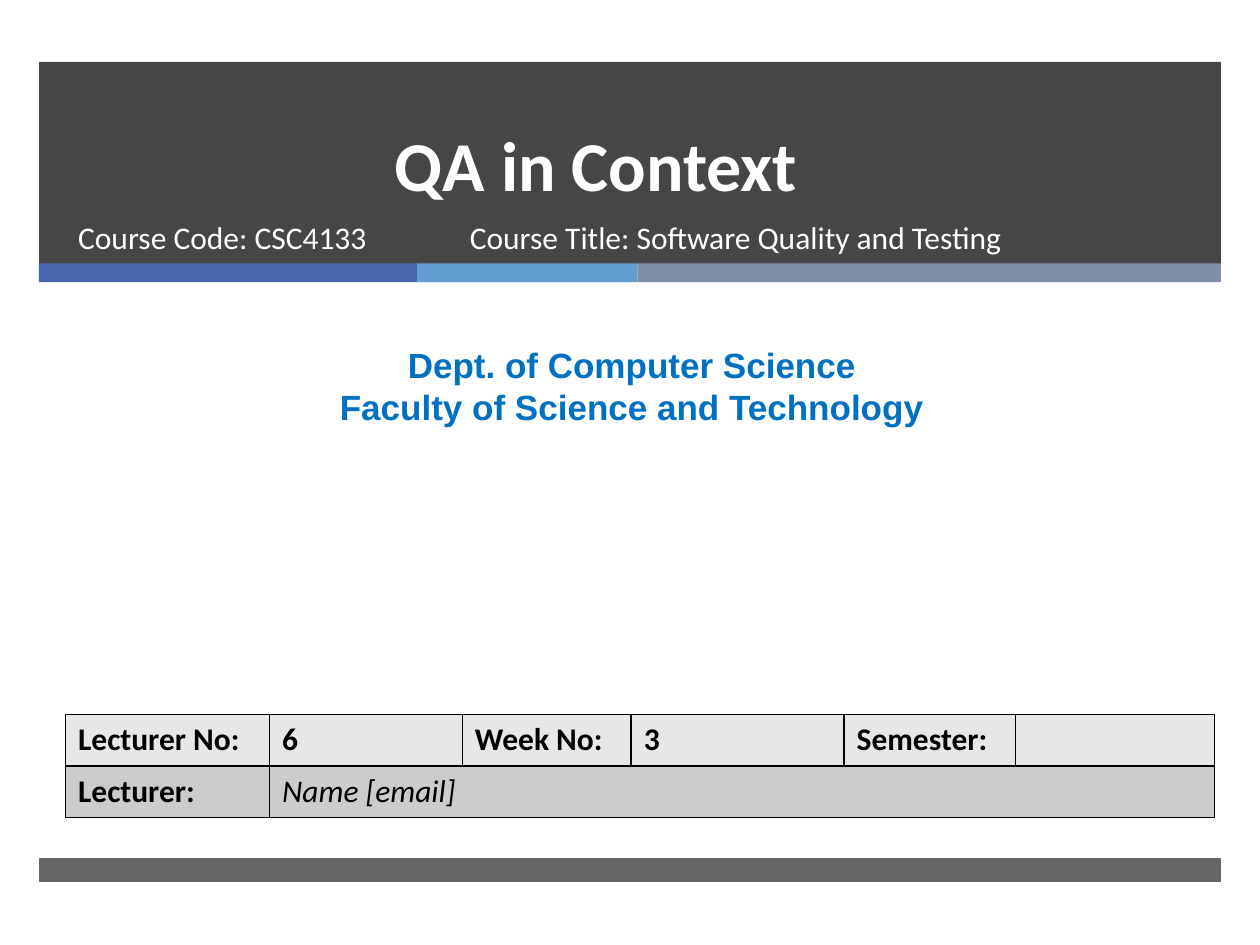
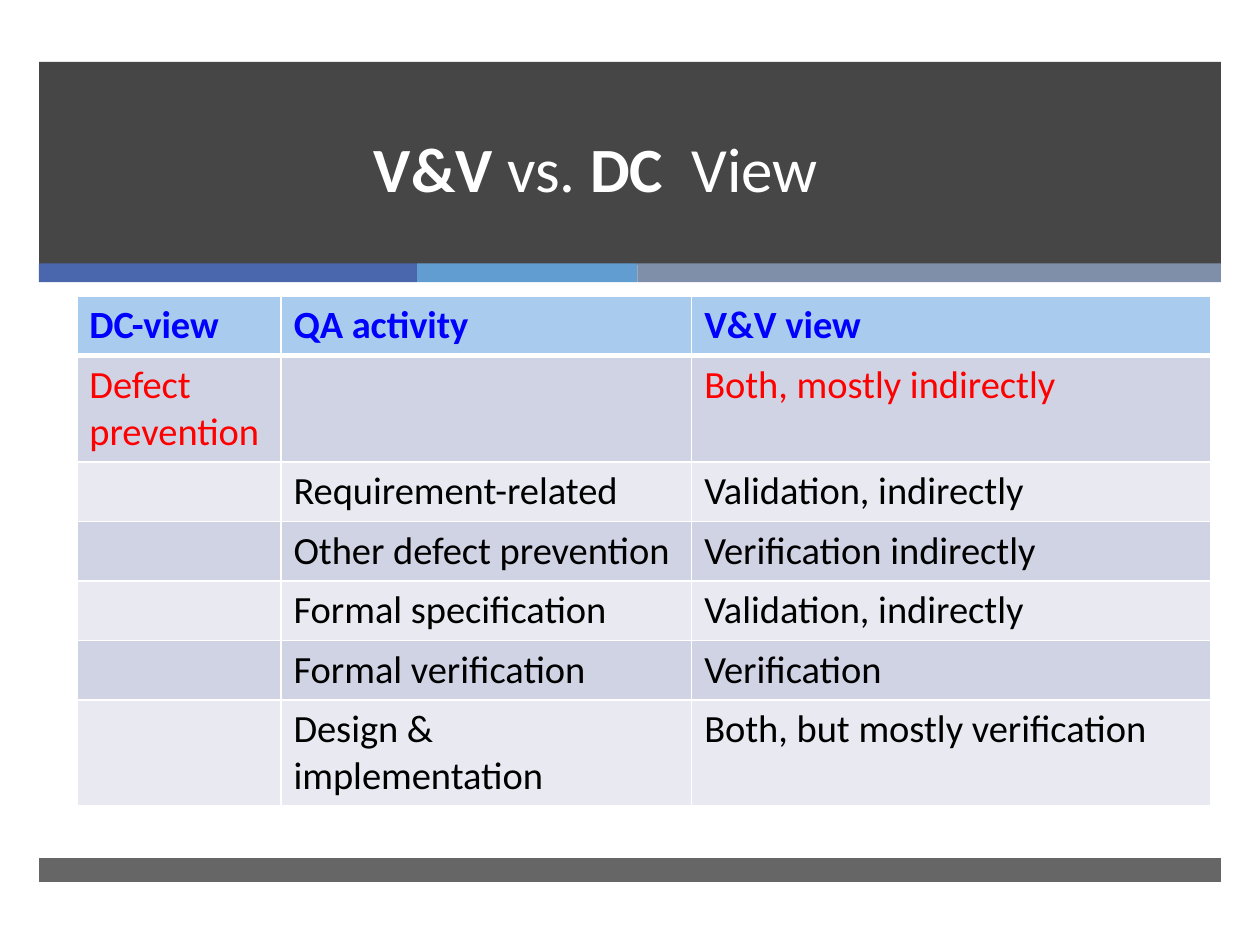
import pptx
import pptx.dml.color
import pptx.enum.shapes
import pptx.enum.text
import pptx.oxml
import pptx.oxml.ns
import pptx.util
from pptx.util import Inches

COLORS = {
    "charcoal": "262626", "white": "FFFFFF", "black": "000000",
    "royal": "4A66AC", "sky": "629DD1", "slate": "7F8FA9",
    "department": "0070C0", "heading": "0000FF", "alert": "FF0000",
    "header_fill": "A9CCEE", "band_dark": "D0D3E3", "band_light": "E9EAF1",
    "info_light": "E7E7E7", "info_dark": "CCCCCC",
}
FRAME_LEFT, FRAME_WIDTH = 0.31, 9.38
LEFT = pptx.enum.text.PP_ALIGN.LEFT
CENTER = pptx.enum.text.PP_ALIGN.CENTER


def rgb(name):
    """Return the named colour."""
    return pptx.dml.color.RGBColor.from_string(COLORS[name])


def place(shape, box):
    """Move a shape to a box of left, top, width, height in inches."""
    shape.left, shape.top, shape.width, shape.height = map(Inches, box)


def add_span(para, text, size, color, bold=False, italic=False, font="Calibri"):
    """Add one formatted run to a paragraph."""
    span = para.add_run()
    span.text = text
    span.font.name = font
    span.font.size = pptx.util.Pt(size)
    span.font.bold = bold
    span.font.italic = italic
    span.font.color.rgb = rgb(color)


def add_band(page, box, color, opacity=100):
    """Draw a plain bar, see-through when opacity is below 100 percent."""
    band = page.shapes.add_shape(
        pptx.enum.shapes.MSO_SHAPE.RECTANGLE, *map(Inches, box))
    band.shadow.inherit = False
    band.fill.solid()
    band.fill.fore_color.rgb = rgb(color)
    band.line.fill.background()
    if opacity < 100:
        tone = band.element.spPr.find(".//" + pptx.oxml.ns.qn("a:srgbClr"))
        alpha = pptx.oxml.parse_xml(
            f'<a:alpha {pptx.oxml.ns.nsdecls("a")} val="{opacity * 1000}"/>')
        tone.append(alpha)
    return band


def build_frame(deck, page):
    """Draw the header, stripes and footer, then move them to the master."""
    bands = [add_band(page, (FRAME_LEFT, 0.49, FRAME_WIDTH, 1.61), "charcoal", 85)]
    left = FRAME_LEFT
    for width, color in ((3, "royal"), (1.75, "sky"), (4.63, "slate")):
        bands.append(add_band(page, (left, 2.09, width, 0.15), color))
        left += width
    bands.append(add_band(page, (FRAME_LEFT, 6.81, FRAME_WIDTH, 0.19), "charcoal", 70))
    tree = deck.slide_master.shapes.element
    for index, band in enumerate(bands):
        band.element.nvSpPr.cNvPr.set("id", str(100 + index))
        tree.insert(2 + index, band.element)


def fill_title(page, box, size, spans):
    """Place the title and write its (text, bold) spans."""
    title = page.shapes.title
    place(title, box)
    frame = title.text_frame
    frame.word_wrap = True
    frame.auto_size = pptx.enum.text.MSO_AUTO_SIZE.NONE
    frame.vertical_anchor = pptx.enum.text.MSO_ANCHOR.BOTTOM
    para = frame.paragraphs[0]
    para.alignment = CENTER
    para.line_spacing = pptx.util.Pt(46)
    for text, bold in spans:
        add_span(para, text, size, "white", bold)


def fill_text(shape, lines, align, **style):
    """Write one paragraph per line with a common style."""
    frame = shape.text_frame
    frame.word_wrap = True
    frame.auto_size = pptx.enum.text.MSO_AUTO_SIZE.NONE
    frame.vertical_anchor = pptx.enum.text.MSO_ANCHOR.TOP
    for index, line in enumerate(lines):
        para = frame.add_paragraph() if index else frame.paragraphs[0]
        para.alignment = align
        para.space_before = pptx.util.Pt(0)
        add_span(para, line, **style)


def add_text(page, box, lines, align, **style):
    """Add a text box."""
    fill_text(page.shapes.add_textbox(*map(Inches, box)), lines, align, **style)


def style_cell(cell, fill, border, top=1, bottom=1):
    """Give a cell its borders (widths in points) and its fill."""
    properties = cell._tc.get_or_add_tcPr()
    for side, width in (("L", 1), ("R", 1), ("T", top), ("B", bottom)):
        properties.append(pptx.oxml.parse_xml(
            f'<a:ln{side} {pptx.oxml.ns.nsdecls("a")} w="{width * 12700}">'
            f'<a:solidFill><a:srgbClr val="{COLORS[border]}"/></a:solidFill>'
            f'</a:ln{side}>'))
    cell.fill.solid()
    cell.fill.fore_color.rgb = rgb(fill)


def add_grid(page, left, top, widths, heights):
    """Add a table without style bands, with the given columns and rows."""
    table = page.shapes.add_table(
        len(heights), len(widths), Inches(left), Inches(top),
        Inches(sum(widths)), Inches(sum(heights))).table
    table.first_row = table.horz_banding = False
    for column, width in zip(table.columns, widths):
        column.width = Inches(width)
    for row, height in zip(table.rows, heights):
        row.height = Inches(height)
    return table


def add_lecture_table(page, left, top):
    """Add the table with the lecture details."""
    rows = (("Lecturer No:", "6", "Week No:", "3", "Semester:", ""),
            ("Lecturer:", "Name [email]", "", "", "", ""))
    table = add_grid(page, left, top, (1.62, 1.53, 1.34, 1.69, 1.36, 1.58), (0.41, 0.41))
    for r, (row, fill) in enumerate(zip(rows, ("info_light", "info_dark"))):
        for c, text in enumerate(row):
            cell = table.cell(r, c)
            style_cell(cell, fill, "black")
            if text:
                name = (r, c) == (1, 1)
                add_span(cell.text_frame.paragraphs[0], text, 18, "black",
                         bold=not name, italic=name)
    table.cell(1, 1).merge(table.cell(1, 5))


def add_view_table(page, left, top):
    """Add the table that compares the two views of QA activities."""
    rows = (("DC-view", "QA activity", "V&V view"),
            ("Defect prevention", "", "Both, mostly indirectly"),
            ("", "Requirement-related", "Validation, indirectly"),
            ("", "Other defect prevention", "Verification indirectly"),
            ("", "Formal specification", "Validation, indirectly"),
            ("", "Formal verification", "Verification"),
            ("", "Design & implementation", "Both, but mostly verification"))
    one_line, two_lines = 0.47, 0.84
    heights = [two_lines if r in (1, 6) else one_line for r in range(len(rows))]
    table = add_grid(page, left, top, (1.62, 3.26, 4.12), heights)
    for r, row in enumerate(rows):
        fill = "header_fill" if r == 0 else "band_dark" if r % 2 else "band_light"
        color = {0: "heading", 1: "alert"}.get(r, "black")
        for c, text in enumerate(row):
            cell = table.cell(r, c)
            style_cell(cell, fill, "white", top=3 if r == 1 else 1,
                       bottom=3 if r == 0 else 1)
            if text:
                add_span(cell.text_frame.paragraphs[0], text, 22, color, bold=r == 0)


def build_cover(deck):
    """Build the cover slide and the frame that all slides share."""
    page = deck.slides.add_slide(deck.slide_layouts[0])
    build_frame(deck, page)
    fill_title(page, (0.46, 0.87, 8.54, 0.81), 40, [("QA in Context", True)])
    subtitle = page.placeholders[1]
    place(subtitle, (0.52, 1.68, 3.05, 0.53))
    fill_text(subtitle, ["Course Code: CSC4133"], LEFT, size=18, color="white")
    add_text(page, (0.08, 2.68, 9.87, 0.77),
             ["Dept. of Computer Science", "Faculty of Science and Technology"],
             CENTER, size=20, color="department", bold=True, font="Arial")
    add_lecture_table(page, 0.52, 5.67)
    add_text(page, (3.63, 1.68, 4.55, 0.53),
             ["Course Title: Software Quality and Testing"], LEFT,
             size=18, color="white")


def build_comparison(deck):
    """Build the slide that compares the two views."""
    page = deck.slides.add_slide(deck.slide_layouts[5])
    fill_title(page, (0.46, 0.49, 8.54, 1.19), 36,
               [("V&V", True), (" vs. ", False), ("DC ", True), (" View", False)])
    add_view_table(page, 0.61, 2.35)


deck = pptx.Presentation()
deck.slide_width, deck.slide_height = Inches(10), Inches(7.5)
build_cover(deck)
build_comparison(deck)
deck.save("out.pptx")
